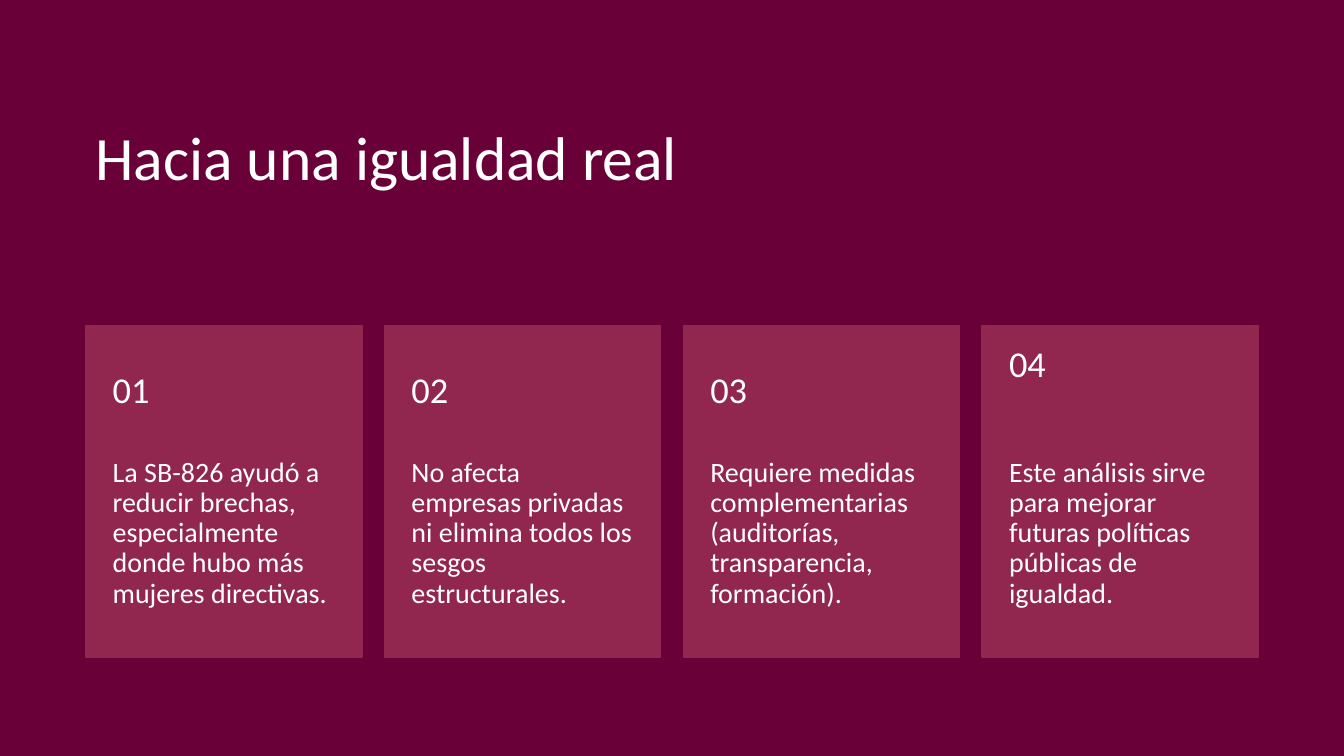
from lxml import etree
from pptx import Presentation
from pptx import util as u
from pptx.dml.color import RGBColor
from pptx.enum import shapes, text
from pptx.oxml.ns import qn

TITLE = "Hacia una igualdad real"
CARDS = [
    ("01", "La SB-826 ayudó a reducir brechas, especialmente donde hubo más mujeres directivas."),
    ("02", "No afecta empresas privadas ni elimina todos los sesgos estructurales."),
    ("03", "Requiere medidas complementarias (auditorías, transparencia, formación)."),
    ("04", "Este análisis sirve para mejorar futuras políticas públicas de igualdad."),
]
BASE, VEIL, CARD, WHITE = "420023", "6E003B", "91274F", "FFFFFF"
PAGE_W, PAGE_H = 33.87, 19.05
LEFT, TOP, CARD_W, CARD_H, STEP = 2.16, 8.2, 6.96, 8.36, 7.53
NUMBER_H = 3.34
PAD = 0.68
NUMBER_BOTTOM = {"04": 1.78}


def paint(fill, color):
    fill.solid()
    fill.fore_color.rgb = RGBColor.from_string(color)


def add_rect(s, x, y, w, h, color, outlined=False):
    sp = s.shapes.add_shape(shapes.MSO_SHAPE.RECTANGLE, u.Cm(x), u.Cm(y), u.Cm(w), u.Cm(h))
    sp.shadow.inherit = False
    paint(sp.fill, color)
    if outlined:
        paint(sp.line.fill, color)
        sp.line.width = u.Pt(1)
    else:
        sp.line.fill.background()
    return sp


def add_text(s, content, x, y, w, h, size, anchor=text.MSO_ANCHOR.MIDDLE,
             insets=(0.25, 0.13, 0.25, 0.13)):
    tf = s.shapes.add_textbox(u.Cm(x), u.Cm(y), u.Cm(w), u.Cm(h)).text_frame
    tf.word_wrap = True
    tf.vertical_anchor = anchor
    tf.margin_left, tf.margin_top, tf.margin_right, tf.margin_bottom = map(u.Cm, insets)
    p = tf.paragraphs[0]
    p.line_spacing = 0.9
    r = p.add_run()
    r.text = content
    r.font.name = "Calibri"
    r.font.size = u.Pt(size)
    r.font.color.rgb = RGBColor.from_string(WHITE)


def main():
    prs = Presentation()
    prs.slide_width, prs.slide_height = u.Cm(PAGE_W), u.Cm(PAGE_H)
    s = prs.slides.add_slide(prs.slide_layouts[6])
    paint(s.background.fill, BASE)

    add_rect(s, 0, 0, PAGE_W, PAGE_H, BASE)
    veil = add_rect(s, 0, 0, PAGE_W, PAGE_H, VEIL)
    color = veil._element.spPr.find(qn("a:solidFill"))[0]
    etree.SubElement(color, qn("a:alpha")).set("val", "90000")

    add_text(s, TITLE, LEFT, 1.37, 30.38, 5.33, 44)
    for i, (number, body) in enumerate(CARDS):
        x = LEFT + i * STEP
        add_rect(s, x, TOP, CARD_W, CARD_H, CARD, outlined=True)
        add_text(s, body, x, TOP + NUMBER_H, CARD_W, CARD_H - NUMBER_H, 20,
                 anchor=text.MSO_ANCHOR.TOP, insets=(PAD, 0, PAD, 0.91))
        add_text(s, number, x, TOP, CARD_W, NUMBER_H, 26,
                 insets=(PAD, 0.46, PAD, NUMBER_BOTTOM.get(number, 0.46)))

    prs.save("out.pptx")


if __name__ == "__main__":
    main()
